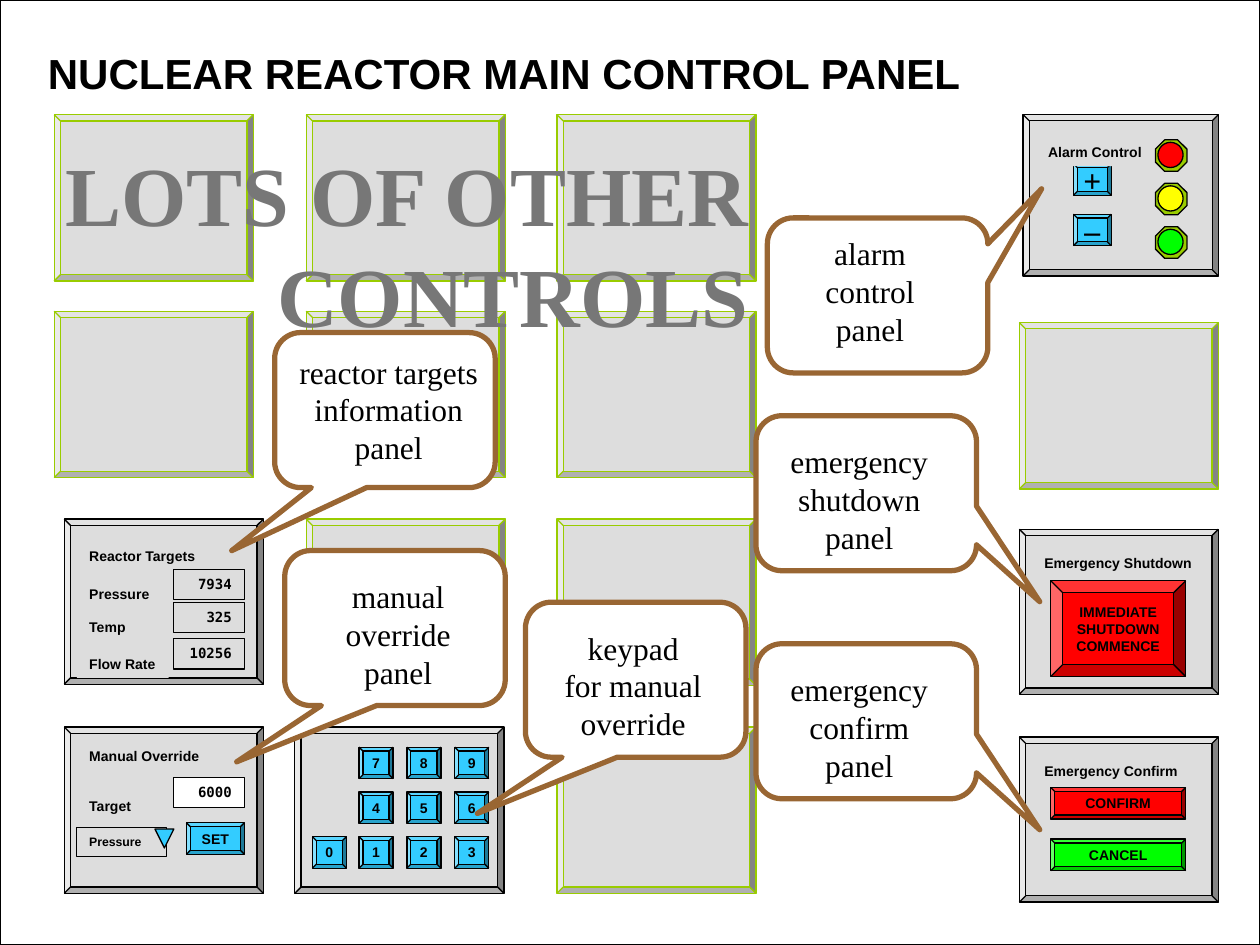
from dataclasses import dataclass
from typing import Optional, Sequence

from pptx import Presentation
from pptx.dml.color import RGBColor
from pptx.enum.shapes import MSO_SHAPE
from pptx.enum.text import MSO_ANCHOR, MSO_AUTO_SIZE, PP_ALIGN
from pptx.util import Inches, Pt

BLACK = RGBColor(0x00, 0x00, 0x00)
WHITE = RGBColor(0xFF, 0xFF, 0xFF)
GREY = RGBColor(0xDD, 0xDD, 0xDD)
DARK = RGBColor(0x77, 0x77, 0x77)
LIME = RGBColor(0x99, 0xCC, 0x00)
BLUE = RGBColor(0x33, 0xCC, 0xFF)
RED = RGBColor(0xFF, 0x00, 0x00)
YELLOW = RGBColor(0xFF, 0xFF, 0x00)
GREEN = RGBColor(0x00, 0xFF, 0x00)
BROWN = RGBColor(0x99, 0x66, 0x33)
SANS, SERIF, MONO = "Arial", "Times New Roman", "DejaVu Sans Mono"
LEFT, MID, RIGHT = PP_ALIGN.LEFT, PP_ALIGN.CENTER, PP_ALIGN.RIGHT


@dataclass(frozen=True)
class Box:
    x: float
    y: float
    w: float
    h: float

    def size(self) -> list:
        return [Inches(n) for n in (self.x, self.y, self.w, self.h)]


@dataclass(frozen=True)
class Font:
    name: str = SANS
    size: float = 8
    bold: bool = True
    color: RGBColor = BLACK


@dataclass(frozen=True)
class Callout:
    box: Box
    tip: tuple
    text: Box
    lines: tuple


PLAIN = Font()
DIGITS = Font(MONO)
SIGN = Font(SERIF, 18)
NOTE = Font(SERIF, 18, False)


def write(shape, lines: Sequence[str], font: Font = PLAIN, align=LEFT,
          anchor=MSO_ANCHOR.TOP, wrap: bool = False) -> None:
    frame = shape.text_frame
    frame.auto_size = MSO_AUTO_SIZE.NONE
    frame.word_wrap = wrap
    frame.vertical_anchor = anchor
    for i, line in enumerate(lines):
        para = frame.add_paragraph() if i else frame.paragraphs[0]
        para.alignment = align
        run = para.add_run()
        run.text = line
        run.font.name = font.name
        run.font.size = Pt(font.size)
        run.font.bold = font.bold
        run.font.color.rgb = font.color


def draw(slide, kind, box: Box, fill: RGBColor, edge: Optional[RGBColor] = BLACK,
         adjust: Sequence[float] = (), width: float = 0.75):
    shape = slide.shapes.add_shape(kind, *box.size())
    shape.shadow.inherit = False
    shape.fill.solid()
    shape.fill.fore_color.rgb = fill
    if edge is None:
        shape.line.fill.background()
    else:
        shape.line.color.rgb = edge
        shape.line.width = Pt(width)
    for i, value in enumerate(adjust):
        shape.adjustments[i] = value
    return shape


def panel(slide, box: Box, edge: RGBColor = BLACK) -> None:
    draw(slide, MSO_SHAPE.BEVEL, box, GREY, edge, (0.038,))


def button(slide, box: Box, lines: Sequence[str], fill: RGBColor = BLUE,
           font: Font = PLAIN) -> None:
    shape = draw(slide, MSO_SHAPE.BEVEL, box, fill, BLACK, (0.125,))
    write(shape, lines, font, MID, MSO_ANCHOR.MIDDLE)


def label(slide, x: float, y: float, w: float, text: str) -> None:
    shape = draw(slide, MSO_SHAPE.RECTANGLE, Box(x, y, w, 0.23), GREY, None)
    write(shape, [text])


def readout(slide, y: float, text: str, fill: RGBColor = GREY) -> None:
    shape = draw(slide, MSO_SHAPE.RECTANGLE, Box(1.38, y, 0.56, 0.24), fill)
    write(shape, [text], DIGITS, RIGHT, wrap=True)


def words(slide, box: Box, lines: Sequence[str], font: Font, align=MID) -> None:
    write(slide.shapes.add_textbox(*box.size()), lines, font, align)


def callout(slide, item: Callout) -> None:
    draw(slide, MSO_SHAPE.ROUNDED_RECTANGULAR_CALLOUT, item.box, WHITE, BROWN,
         (*item.tip, 0.167), 3)
    words(slide, item.text, item.lines, NOTE)


def note(x: float, y: float, tip: tuple, left: float, top: float, w: float,
         *lines: str) -> Callout:
    return Callout(Box(x, y, 1.75, 1.23), tip, Box(left, top, w, 1), lines)


def manual(slide) -> None:
    panel(slide, Box(0.51, 5.77, 1.58, 1.32))
    label(slide, 0.61, 5.88, 1.06, "Manual Override")
    label(slide, 0.61, 6.28, 0.54, "Target")
    readout(slide, 6.17, "6000", WHITE)
    choice = draw(slide, MSO_SHAPE.RECTANGLE, Box(0.61, 6.57, 0.71, 0.23), GREY)
    write(choice, ["Pressure"], Font(size=7), wrap=True)
    button(slide, Box(1.48, 6.53, 0.46, 0.25), ["SET"])
    draw(slide, MSO_SHAPE.FLOWCHART_MERGE, Box(1.23, 6.58, 0.15, 0.15), BLUE)


def alarm(slide) -> None:
    panel(slide, Box(8.12, 0.91, 1.55, 1.28))
    for y, sign in ((1.3, "+"), (1.7, "–")):
        button(slide, Box(8.52, y, 0.3, 0.25), [sign], font=SIGN)
    for i, color in enumerate((RED, YELLOW, GREEN)):
        y = 1.11 + 0.345 * i
        draw(slide, MSO_SHAPE.OCTAGON, Box(9.17, y, 0.25, 0.25), LIME, BLACK, (0.293,))
        draw(slide, MSO_SHAPE.OVAL, Box(9.19, y + 0.02, 0.2, 0.2), color)
    label(slide, 8.22, 1.09, 0.94, "Alarm Control")


def targets(slide) -> None:
    panel(slide, Box(0.51, 4.12, 1.58, 1.31))
    label(slide, 0.61, 4.3, 1.05, "Reactor Targets")
    for y, w, name, value in ((4.6, 0.68, "Pressure", "7934"),
                              (4.86, 0.5, "Temp", "325"),
                              (5.15, 0.73, "Flow Rate", "10256")):
        label(slide, 0.61, y, w, name)
        readout(slide, y - 0.08, value)


def urgent(slide) -> None:
    panel(slide, Box(8.09, 4.2, 1.58, 1.31))
    button(slide, Box(8.34, 4.61, 1.07, 0.76),
           ["IMMEDIATE", "SHUTDOWN", "COMMENCE"], RED)
    label(slide, 8.19, 4.35, 1.37, "Emergency Shutdown")
    panel(slide, Box(8.09, 5.85, 1.58, 1.31))
    label(slide, 8.19, 6, 1.26, "Emergency Confirm")
    button(slide, Box(8.34, 6.25, 1.07, 0.25), ["CONFIRM"], RED)
    button(slide, Box(8.34, 6.66, 1.07, 0.25), ["CANCEL"], GREEN)


def keypad(slide) -> None:
    panel(slide, Box(2.34, 5.77, 1.66, 1.32))
    for row, keys in enumerate(("789", "456", "123")):
        for col, key in enumerate(keys):
            button(slide, Box(2.85 + 0.38 * col, 5.93 + 0.355 * row, 0.27, 0.25), [key])
    button(slide, Box(2.48, 6.64, 0.27, 0.25), ["0"])


def main() -> None:
    deck = Presentation()
    deck.slide_width, deck.slide_height = Inches(10), Inches(7.5)
    slide = deck.slides.add_slide(deck.slide_layouts[5])
    draw(slide, MSO_SHAPE.RECTANGLE, Box(0, 0, 10, 7.5), WHITE)

    title = slide.shapes.title
    title.left, title.top, title.width, title.height = Box(0.28, 0.33, 7.48, 0.5).size()
    write(title, ["NUCLEAR REACTOR MAIN CONTROL PANEL"], Font(size=24))
    slide.shapes._spTree.append(title._element)

    for x, tops in ((0.43, (0.91, 2.47)), (2.43, (0.91, 2.47, 4.12)),
                    (4.42, (0.91, 2.47, 4.12, 5.77)), (8.09, (2.56,))):
        for y in tops:
            panel(slide, Box(x, y, 1.58, 1.32), LIME)
    for part in (manual, alarm, targets, urgent):
        part(slide)
    words(slide, Box(0.39, 1.08, 5.65, 1.7), ["LOTS OF OTHER", "CONTROLS"],
          Font(SERIF, 48, True, DARK), RIGHT)
    keypad(slide)

    side, low = (0.787, 0.7), (-0.718, 0.863)
    for item in (
        note(2.18, 2.64, (-0.695, 0.907), 2.27, 2.75, 1.63,
             "reactor targets", "information", "panel"),
        note(6.09, 1.73, (0.744, -0.688), 6.45, 1.81, 0.91, "alarm", "control", "panel"),
        note(6, 3.3, side, 6.17, 3.46, 1.3, "emergency", "shutdown", "panel"),
        note(6, 5.11, side, 6.17, 5.27, 1.3, "emergency", "confirm", "panel"),
        note(4.17, 4.78, low, 4.38, 4.94, 1.29, "keypad", "for manual", "override"),
        note(2.26, 4.37, low, 2.64, 4.53, 1.04, "manual", "override", "panel"),
    ):
        callout(slide, item)
    deck.save("out.pptx")


if __name__ == "__main__":
    main()
